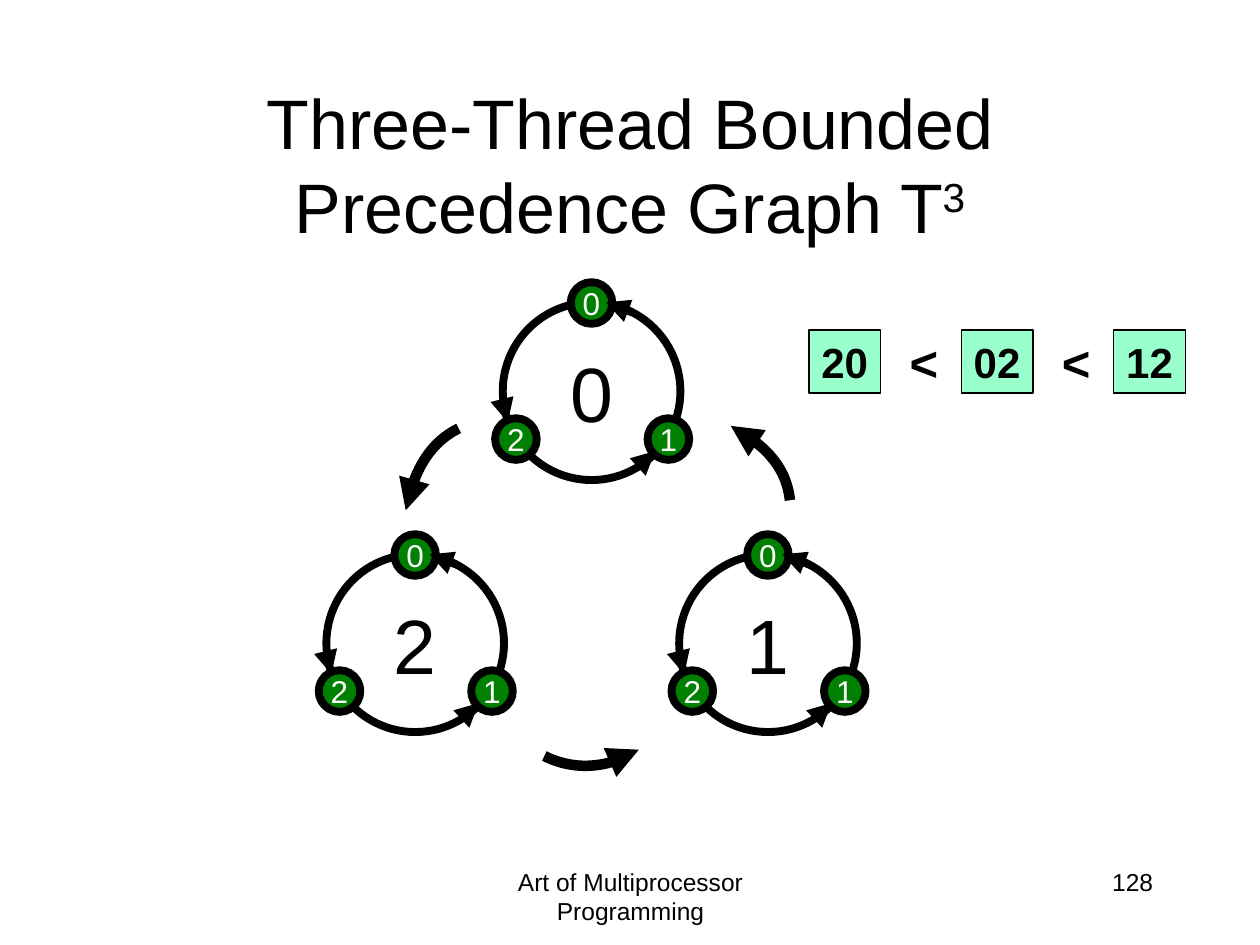
import dataclasses

import pptx
import pptx.dml.color
import pptx.enum.shapes
import pptx.enum.text
import pptx.oxml.ns
import pptx.util
from lxml import etree

Inches, Pt = pptx.util.Inches, pptx.util.Pt
RGB = pptx.dml.color.RGBColor.from_string
SHAPE = pptx.enum.shapes.MSO_SHAPE
ANCHOR = pptx.enum.text.MSO_ANCHOR
ALIGN = pptx.enum.text.PP_ALIGN
qn = pptx.oxml.ns.qn


@dataclasses.dataclass(frozen=True)
class Theme:
    font: str = "Arial"
    ink: str = "000000"
    paper: str = "FFFFFF"
    node: str = "008000"
    label: str = "99FFCC"
    title_pt: int = 40
    ring_pt: int = 44
    node_pt: int = 18
    label_pt: int = 24
    less_pt: int = 28
    footer_pt: int = 14
    ring_line: float = 4.5
    arc_line: float = 6
    label_line: float = 0.75


def put_text(tf, text, size, color, font, bold=False, align=ALIGN.LEFT,
             anchor=ANCHOR.TOP, wrap=False, superscript=""):
    tf.word_wrap = wrap
    tf.vertical_anchor = anchor
    tf.margin_left = tf.margin_right = Inches(0.1)
    tf.margin_top = tf.margin_bottom = Inches(0.05)
    p = tf.paragraphs[0]
    p.alignment = align
    for part in filter(None, (text, superscript)):
        r = p.add_run()
        r.text = part
        r.font.name, r.font.size, r.font.bold = font, Pt(size), bold
        r.font.color.rgb = RGB(color)
    if superscript:
        r.font._element.set("baseline", "30000")


def bezier(points, steps=24):
    """Sample a cubic curve given by its two ends and two handles."""
    for i in range(steps + 1):
        t = i / steps
        weights = ((1 - t) ** 3, 3 * t * (1 - t) ** 2, 3 * t ** 2 * (1 - t), t ** 3)
        yield tuple(Inches(sum(w * pt[axis] for w, pt in zip(weights, points)))
                    for axis in (0, 1))


class Deck:
    def __init__(self, theme):
        self.theme = theme
        self.prs = pptx.Presentation()
        self.prs.slide_width, self.prs.slide_height = Inches(10), Inches(7.5)
        self.s = self.prs.slides.add_slide(self.prs.slide_layouts[5])

    def label(self, sp, text, size, color=None, **fmt):
        put_text(sp.text_frame, text, size, color or self.theme.ink,
                 self.theme.font, **fmt)

    def title(self, box, text, **fmt):
        sp = self.s.shapes.title
        sp.left, sp.top, sp.width, sp.height = map(Inches, box)
        self.label(sp, text, self.theme.title_pt, align=ALIGN.CENTER,
                   anchor=ANCHOR.MIDDLE, wrap=True, **fmt)

    def text(self, box, text, size, **fmt):
        self.label(self.s.shapes.add_textbox(*map(Inches, box)), text, size, **fmt)

    def shape(self, shapes, kind, box, fill, width, text, size, **fmt):
        sp = shapes.add_shape(kind, *map(Inches, box))
        sp.shadow.inherit = False
        sp.fill.solid()
        sp.fill.fore_color.rgb = RGB(fill)
        self.outline(sp, width)
        self.label(sp, text, size, **fmt)

    def outline(self, sp, width, arrow=False):
        sp.line.color.rgb = RGB(self.theme.ink)
        sp.line.width = Pt(width)
        if arrow:
            ln = sp._element.spPr.find(qn("a:ln"))
            etree.SubElement(ln, qn("a:tailEnd"), type="triangle")

    def arrow(self, shapes, start, end):
        sp = shapes.add_connector(pptx.enum.shapes.MSO_CONNECTOR.STRAIGHT,
                                  *map(Inches, start + end))
        self.outline(sp, self.theme.ring_line, arrow=True)
        etree.SubElement(sp._element.spPr, qn("a:effectLst"))

    def curved_arrow(self, points):
        first, *rest = bezier(points)
        builder = self.s.shapes.build_freeform(*first)
        builder.add_line_segments(rest, close=False)
        sp = builder.convert_to_shape()
        sp.shadow.inherit = False
        sp.fill.background()
        self.outline(sp, self.theme.arc_line, arrow=True)

    def ring(self, x, y, name):
        """Draw a cycle of three numbered nodes around a large digit."""
        t = self.theme
        shapes = self.s.shapes.add_group_shape().shapes
        centred = dict(align=ALIGN.CENTER, anchor=ANCHOR.MIDDLE)
        self.shape(shapes, SHAPE.OVAL, (x, y, 1.41, 1.41), t.paper, t.ring_line,
                   name, t.ring_pt, **centred)
        for i, (dx, dy) in enumerate(NODES):
            self.shape(shapes, SHAPE.OVAL, (x + dx, y + dy, 0.33, 0.33), t.node,
                       t.ring_line, str(i), t.node_pt, color=t.paper, **centred)
        for x1, y1, x2, y2 in RING_ARROWS:
            self.arrow(shapes, (x + x1, y + y1), (x + x2, y + y2))


# Offsets from the top left corner of a ring
NODES = [(0.54, -0.16), (1.15, 0.92), (-0.06, 0.92)]
RING_ARROWS = [(0, 0.79, 0.04, 0.95), (1.09, 1.29, 1.21, 1.18), (1.03, 0.08, 0.82, 0)]

RINGS = [(2.59, 4.4, "2"), (5.39, 4.4, "1"), (3.99, 2.4, "0")]
ARCS = [
    [(3.64, 3.4), (3.4, 3.52), (3.28, 3.75), (3.22, 4.05)],
    [(6.27, 3.97), (6.24, 3.7), (6.07, 3.53), (5.8, 3.38)],
    [(4.32, 6), (4.56, 6.12), (4.83, 6.1), (5.07, 5.95)],
]


def main():
    t = Theme()
    deck = Deck(t)
    deck.title((0.75, 0.67, 8.5, 1.25), "Three-Thread Bounded Precedence Graph T",
               superscript="3")
    deck.text((3.42, 6.83, 3.17, 0.5), "Art of Multiprocessor Programming",
              t.footer_pt, align=ALIGN.CENTER, wrap=True)
    deck.text((7.17, 6.83, 2.08, 0.5), "128", t.footer_pt, align=ALIGN.RIGHT, wrap=True)

    for ring in RINGS:
        deck.ring(*ring)
    for arc in ARCS:
        deck.curved_arrow(arc)

    left, pitch = 6.42, 1.21
    for i, number in enumerate(("20", "02", "12")):
        x = left + i * pitch
        deck.shape(deck.s.shapes, SHAPE.RECTANGLE, (x, 2.62, 0.57, 0.5), t.label,
                   t.label_line, number, t.label_pt, bold=True)
        if i:
            deck.text((x - 0.51, 2.59, 0.42, 0.57), "<", t.less_pt, bold=True)
    deck.prs.save("out.pptx")


if __name__ == "__main__":
    main()
